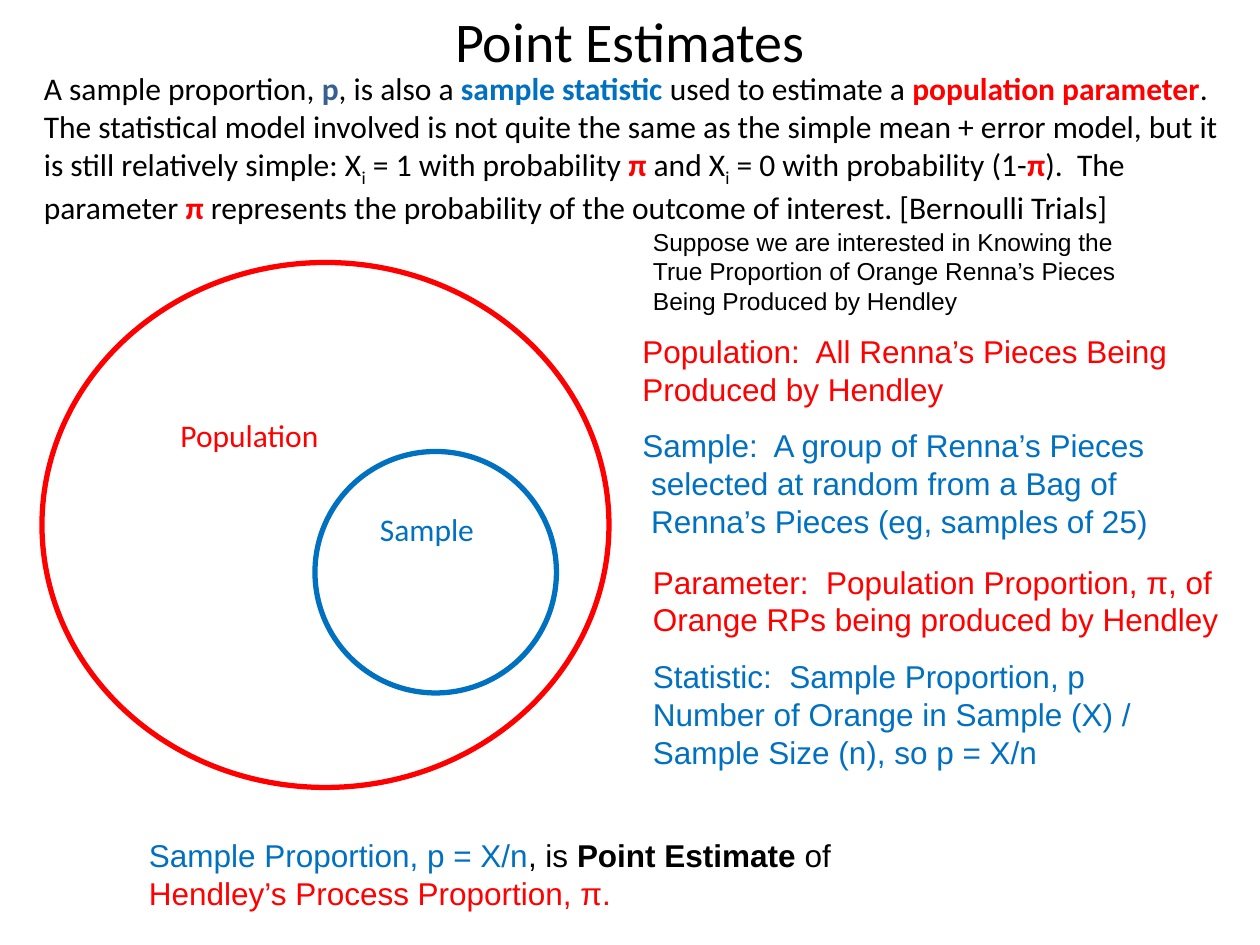
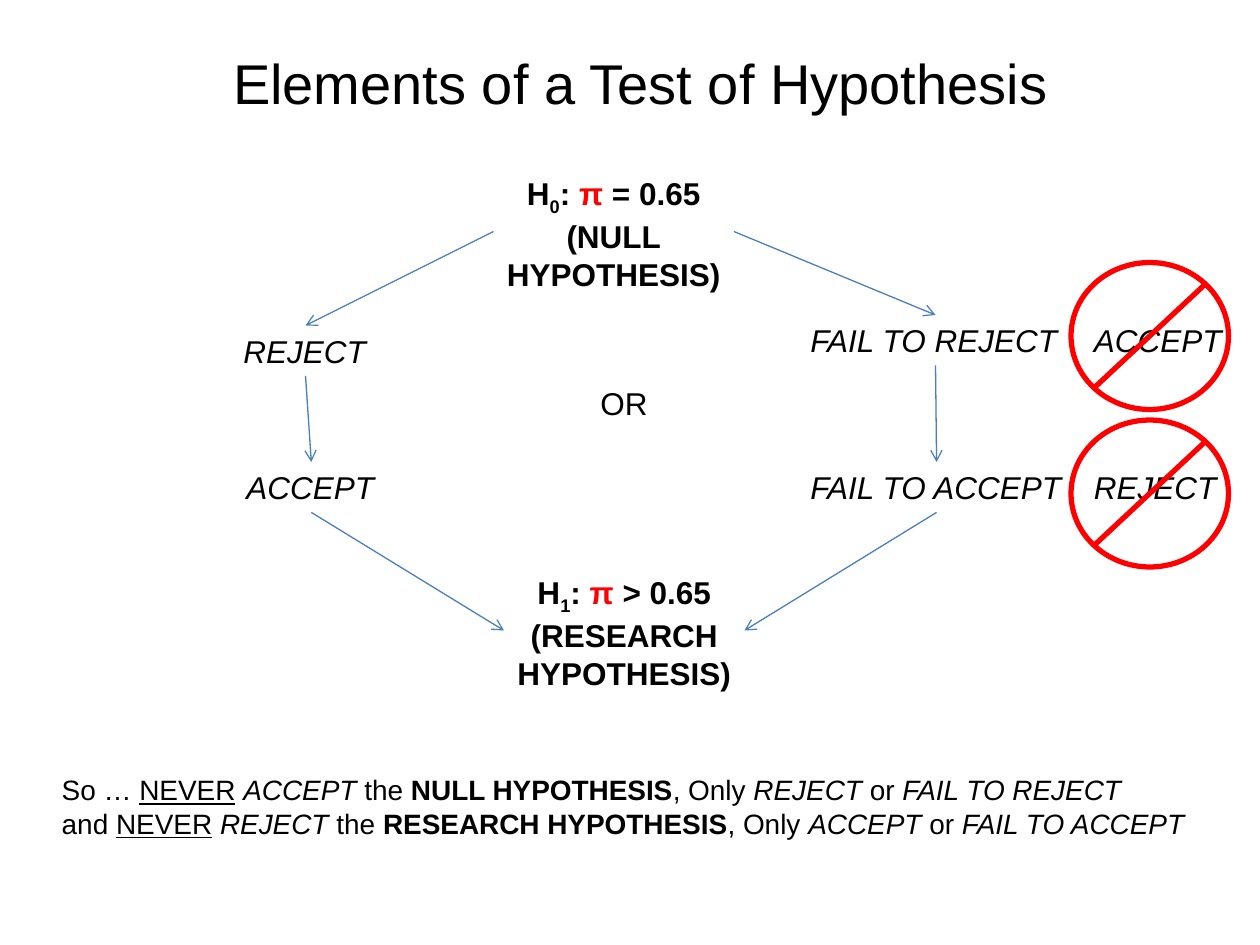
import math
from dataclasses import dataclass
from typing import Union

from pptx import Presentation
from pptx.dml.color import RGBColor
from pptx.enum.shapes import MSO_CONNECTOR, MSO_SHAPE
from pptx.enum.text import MSO_ANCHOR, MSO_AUTO_SIZE, PP_ALIGN
from pptx.oxml.ns import qn
from pptx.oxml.xmlchemy import OxmlElement
from pptx.util import Emu, Inches, Pt

LEFT, CENTER = PP_ALIGN.LEFT, PP_ALIGN.CENTER
TOP = MSO_ANCHOR.TOP
FIT_SHAPE, NO_FIT = MSO_AUTO_SIZE.SHAPE_TO_FIT_TEXT, MSO_AUTO_SIZE.NONE
ELLIPSE = MSO_SHAPE.OVAL
STRAIGHT = MSO_CONNECTOR.STRAIGHT

COLORS = {
    "text": "000000",
    "parameter": "FF0000",
    "statistic": "0070C0",
    "symbol": "376092",
    "arrow": "4B7EBC",
}
SANS, HUMANIST = "Arial", "Calibri"
TITLE_SIZE, BODY_SIZE, CLOSING_SIZE, INTRO_SIZE = 32, 18, 16, 14
ONE_LINE, TWO_LINES, THREE_LINES = 4.8, 8.5, 12.1  # box heights in rows

# Grid of 120 columns by 90 rows
SLIDE_WIDTH, SLIDE_HEIGHT = Inches(10), Inches(7.5)
COLUMN, ROW = SLIDE_WIDTH / 120, SLIDE_HEIGHT / 90
Point = tuple[float, float]


@dataclass(frozen=True)
class Box:
    """Place on the grid, in columns and rows."""
    left: float
    top: float
    width: float
    height: float

    def at(self, across: float, down: float) -> Point:
        return self.left + across * self.width, self.top + down * self.height

    def emu(self) -> tuple[Emu, Emu, Emu, Emu]:
        return (Emu(round(self.left * COLUMN)), Emu(round(self.top * ROW)),
                Emu(round(self.width * COLUMN)), Emu(round(self.height * ROW)))


@dataclass(frozen=True)
class Span:
    """Piece of a line with its own look."""
    text: str
    color: str = ""
    bold: bool = False
    italic: bool = False
    underline: bool = False
    subscript: bool = False


Line = list[Union[str, Span]]


@dataclass(frozen=True)
class Label:
    box: Box
    lines: list[Line]
    color: str = "text"
    size: int = BODY_SIZE
    font: str = SANS
    align: PP_ALIGN = LEFT
    bold: bool = False
    italic: bool = False
    wrap: bool = False
    hanging: float = 0  # indent in points of the lines after the first


def rgb(color: str) -> RGBColor:
    return RGBColor.from_string(COLORS[color])


def write(frame, label: Label) -> None:
    for index, line in enumerate(label.lines):
        paragraph = frame.paragraphs[0] if index == 0 else frame.add_paragraph()
        paragraph.alignment = label.align
        if index and label.hanging:
            paragraph._p.get_or_add_pPr().set("marL", str(Pt(label.hanging)))
        for piece in line:
            span = piece if isinstance(piece, Span) else Span(piece)
            run = paragraph.add_run()
            run.text = span.text
            font = run.font
            font.name, font.size = label.font, Pt(label.size)
            font.bold = label.bold or span.bold
            font.italic = label.italic or span.italic
            font.underline = span.underline
            font.color.rgb = rgb(span.color or label.color)
            if span.subscript:
                run._r.get_or_add_rPr().set("baseline", "-25000")


def add_label(slide, label: Label) -> None:
    frame = slide.shapes.add_textbox(*label.box.emu()).text_frame
    frame.word_wrap = label.wrap
    frame.auto_size = FIT_SHAPE
    write(frame, label)


def set_title(slide, label: Label) -> None:
    title = slide.shapes.title
    title.left, title.top, title.width, title.height = label.box.emu()
    frame = title.text_frame
    frame.word_wrap = label.wrap
    frame.auto_size = NO_FIT
    frame.vertical_anchor = TOP
    write(frame, label)


def add_ellipse(slide, box: Box, color: str) -> None:
    ellipse = slide.shapes.add_shape(ELLIPSE, *box.emu())
    ellipse.shadow.inherit = False
    ellipse.fill.background()
    ellipse.line.color.rgb = rgb(color)
    ellipse.line.width = Pt(3)


def add_line(slide, start: Point, end: Point, color: str, width: float,
             arrow: bool = False) -> None:
    ends = [Emu(round(value * unit)) for point in (start, end)
            for value, unit in zip(point, (COLUMN, ROW))]
    line = slide.shapes.add_connector(STRAIGHT, *ends)
    line.line.color.rgb = rgb(color)
    line.line.width = Pt(width)
    properties = line._element.spPr
    if arrow:
        head = OxmlElement("a:tailEnd")
        head.set("type", "arrow")
        properties.find(qn("a:ln")).append(head)
    properties.append(OxmlElement("a:effectLst"))


def add_prohibition(slide, word: str, box: Box, ring: Box) -> None:
    """Word crossed out by a ring with a diagonal bar."""
    add_label(slide, Label(box, [[word]], italic=True))
    add_ellipse(slide, ring, "parameter")
    reach = math.sqrt(0.5) / 2
    add_line(slide, ring.at(0.5 + reach, 0.5 - reach),
             ring.at(0.5 - reach, 0.5 + reach), "parameter", 3)


def build_point_estimates(slide) -> None:
    set_title(slide, Label(Box(6, 0, 108, 10), [["Point Estimates"]],
                           size=TITLE_SIZE, font=HUMANIST, align=CENTER, wrap=True))

    # Explanation of the model
    pi = Span("π", "parameter", bold=True)
    index = Span("i", subscript=True)
    add_label(slide, Label(Box(3, 6, 115, 15.7), [[
        "A sample proportion, ", Span("p", "symbol", bold=True), ", is also a ",
        Span("sample statistic ", "statistic", bold=True), "used to estimate a ",
        Span("population parameter", "parameter", bold=True),
        ".  The statistical model involved is not quite the same as the simple "
        "mean + error model, but it is still relatively simple: X", index,
        " = 1 with probability ", pi, " and X", index,
        " = 0 with probability (1-", pi, ").  The parameter ", pi,
        " represents the probability of the outcome of interest. [Bernoulli Trials]",
    ]], font=HUMANIST, wrap=True))

    # Sample inside the population
    add_ellipse(slide, Box(4, 25, 54, 50), "parameter")
    add_ellipse(slide, Box(30, 43, 23, 23), "statistic")
    for box, word, color in (
            (Box(16, 39, 15.7, ONE_LINE), "Population", "parameter"),
            (Box(35, 48, 11.5, ONE_LINE), "Sample", "statistic")):
        add_label(slide, Label(box, [[word]], color, font=HUMANIST))

    # Candy example
    example = [
        Label(Box(61, 21, 50, 9.7), [[
            "Suppose we are interested in Knowing the True Proportion of Orange "
            "Renna’s Pieces Being Produced by Hendley"]], size=INTRO_SIZE, wrap=True),
        Label(Box(60, 31, 53.5, TWO_LINES), [
            ["Population:  All Renna’s Pieces Being"],
            ["Produced by Hendley"]], "parameter"),
        Label(Box(60, 40, 50.5, THREE_LINES), [
            ["Sample:  A group of Renna’s Pieces"],
            ["selected at random from a Bag of"],
            ["Renna’s Pieces (eg, samples of 25)"]], "statistic", hanging=5),
        Label(Box(61, 53, 57, TWO_LINES), [
            ["Parameter:  Population Proportion, π, of"],
            ["Orange RPs being produced by Hendley"]], "parameter"),
        Label(Box(61, 62, 48.4, THREE_LINES), [
            ["Statistic:  Sample Proportion, p"],
            ["Number of Orange in Sample (X) /"],
            ["Sample Size (n), so p = X/n"]], "statistic"),
        Label(Box(13, 79, 68.8, TWO_LINES), [
            [Span("Sample Proportion, p = X/n", "statistic"), ", is ",
             Span("Point Estimate ", bold=True), "of"],
            [Span("Hendley’s Process Proportion, π.", "parameter")]]),
    ]
    for label in example:
        add_label(slide, label)


def build_hypothesis_test(slide) -> None:
    set_title(slide, Label(Box(21, 4, 80.6, 7.7),
                           [["Elements of a Test of Hypothesis"]], size=TITLE_SIZE))

    # Hypotheses
    null = Box(47, 16, 22.9, THREE_LINES)
    research = Box(48, 54, 22.9, THREE_LINES)
    for box, number, claim, role in ((null, "0", " = 0.65", "(NULL"),
                                     (research, "1", " > 0.65", "(RESEARCH")):
        add_label(slide, Label(box, [
            ["H", Span(number, subscript=True), ": ", Span("π", "parameter"), claim],
            [role], ["HYPOTHESIS)"]], align=CENTER, bold=True))
    add_label(slide, Label(Box(56, 36, 7, ONE_LINE), [["OR"]]))

    # Decisions: one path on each side, from the null to the research hypothesis
    paths = (
        (0, ("REJECT", Box(22, 31, 14.2, ONE_LINE)),
         ("ACCEPT", Box(22.3, 44, 14.7, ONE_LINE))),
        (1, ("FAIL TO REJECT", Box(76, 30, 26.2, ONE_LINE)),
         ("FAIL TO ACCEPT", Box(76, 44, 26.4, ONE_LINE))),
    )
    for side, (on_null, first), (on_research, second) in paths:
        for word, box in ((on_null, first), (on_research, second)):
            add_label(slide, Label(box, [[word]], italic=True))
        for start, end in ((null.at(side, 0.5), first.at(0.5, 0)),
                           (first.at(0.5, 1), second.at(0.5, 0)),
                           (second.at(0.5, 1), research.at(side, 0.5))):
            add_line(slide, start, end, "arrow", 0.75, arrow=True)

    # Forbidden decisions
    for word, word_top, width, ring_top in (("ACCEPT", 30, 14.7, 25),
                                            ("REJECT", 44, 14.2, 40)):
        add_prohibition(slide, word, Box(103, word_top, width, ONE_LINE),
                        Box(102, ring_top, 15, 14))

    # Conclusion
    conclusions = (("So … ", "ACCEPT", "NULL", "REJECT"),
                   ("and ", "REJECT", "RESEARCH", "ACCEPT"))
    add_label(slide, Label(Box(4.7, 73, 110.4, 7.7), [
        [opening, Span("NEVER", underline=True), " ", Span(forbidden, italic=True),
         " the ", Span(f"{hypothesis} HYPOTHESIS", bold=True), ", Only ",
         Span(allowed, italic=True), " or ", Span(f"FAIL TO {allowed}", italic=True)]
        for opening, forbidden, hypothesis, allowed in conclusions],
        size=CLOSING_SIZE))


def main() -> None:
    deck = Presentation()
    deck.slide_width, deck.slide_height = SLIDE_WIDTH, SLIDE_HEIGHT
    title_only = deck.slide_layouts[5]
    for build in (build_point_estimates, build_hypothesis_test):
        build(deck.slides.add_slide(title_only))
    deck.save("out.pptx")


if __name__ == "__main__":
    main()
